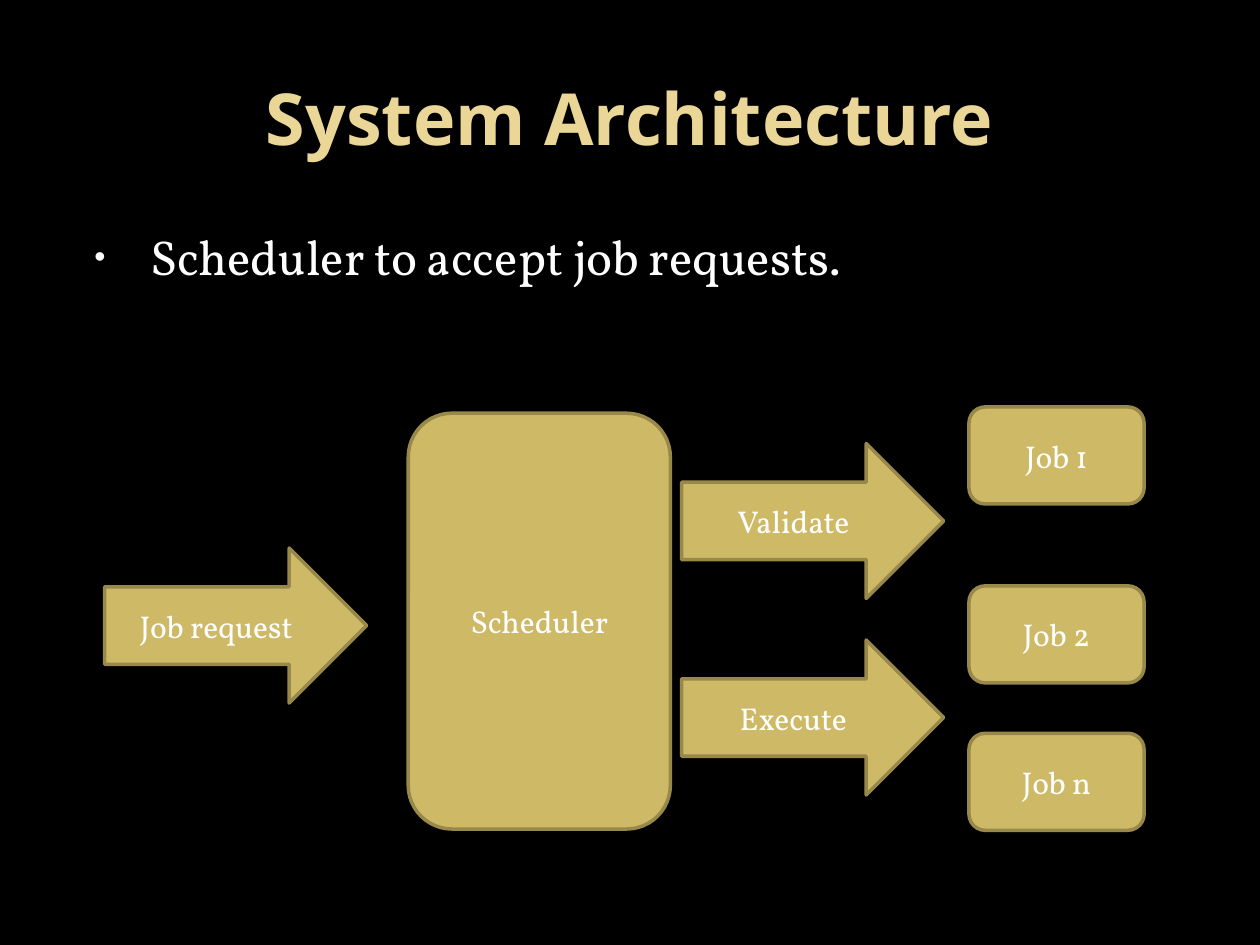
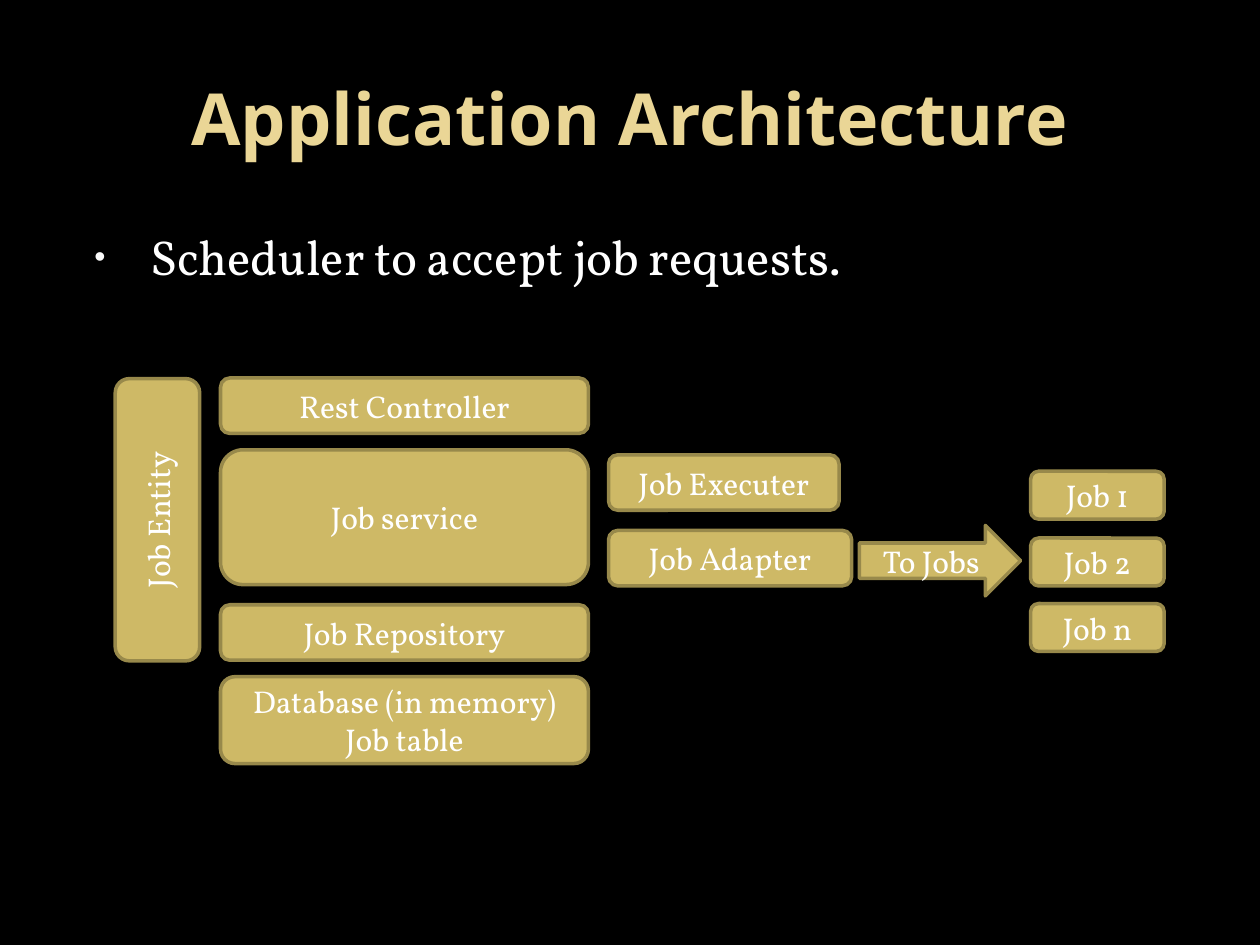
from dataclasses import dataclass
from typing import Any

from lxml.etree import SubElement
from pptx import Presentation
from pptx.dml.color import RGBColor
from pptx.enum.shapes import MSO_AUTO_SHAPE_TYPE as ShapeType
from pptx.enum.text import MSO_VERTICAL_ANCHOR as Anchor, PP_PARAGRAPH_ALIGNMENT as Align
from pptx.oxml.ns import qn
from pptx.slide import Slide
from pptx.text.text import TextFrame
from pptx.util import Inches, Pt

BLACK = RGBColor(0x00, 0x00, 0x00)
WHITE = RGBColor(0xFF, 0xFF, 0xFF)
BULLET_COLOR = RGBColor(0xF9, 0xF9, 0xF9)
CREAM = RGBColor(0xEA, 0xD6, 0x96)
GOLD = RGBColor(0xCE, 0xB9, 0x66)
BRONZE = RGBColor(0x98, 0x89, 0x4B)

TITLE_FONT = {"name": "Noto Sans", "size": Pt(41), "bold": True}
BODY_FONT = {"name": "Vollkorn", "size": Pt(28)}
LABEL_FONT = {"name": "Vollkorn", "size": Pt(18)}
BULLET_TEXT = "Scheduler to accept job requests."


@dataclass(frozen=True)
class Block:
    label: str
    left: float
    top: float
    width: float
    height: float
    kind: ShapeType = ShapeType.ROUNDED_RECTANGLE
    rotation: float = 0


@dataclass(frozen=True)
class Diagram:
    title: str
    blocks: list[Block]


def arrow(label: str, left: float, top: float, width: float = 2.08, height: float = 1.23) -> Block:
    return Block(label, left, top, width, height, ShapeType.RIGHT_ARROW)


def jobs(left: float, tops: list[float], width: float, height: float) -> list[Block]:
    return [Block(label, left, top, width, height)
            for label, top in zip(("Job 1", "Job 2", "Job n"), tops)]


def layer(label: str, top: float, height: float = 0.44) -> Block:
    return Block(label, 1.75, top, 2.92, height)


DIAGRAMS = [
    Diagram("System Architecture", [
        *jobs(7.69, [3.23, 4.65, 5.82], 1.39, 0.77),
        Block("Scheduler", 3.24, 3.28, 2.08, 3.3),
        arrow("Job request", 0.83, 4.35),
        arrow("Execute", 5.41, 5.08),
        arrow("Validate", 5.41, 3.52),
    ]),
    Diagram("Application Architecture", [
        *jobs(8.18, [3.74, 4.27, 4.79], 1.06, 0.38),
        Block("Job Adapter", 4.83, 4.21, 1.93, 0.44),
        arrow("To Jobs", 6.82, 4.17, 1.28, 0.56),
        Block("Job Entity", 0.13, 3.79, 2.24, 0.67, rotation=270),
        layer("Job Repository", 4.8),
        layer("Rest Controller", 3),
        layer("Job service", 3.57, 1.07),
        layer("Database (in memory)\nJob table", 5.37, 0.69),
        Block("Job Executer", 4.83, 3.61, 1.83, 0.44),
    ]),
]


def write(frame: TextFrame, text: str, font: dict[str, Any], color: RGBColor,
          align: Align = Align.CENTER, anchor: Anchor = Anchor.MIDDLE) -> None:
    frame.text = text
    frame.word_wrap = True
    frame.vertical_anchor = anchor
    for para in frame.paragraphs:
        para.alignment = align
        for span in para.runs:
            for name, value in font.items():
                setattr(span.font, name, value)
            span.font.color.rgb = color


def draw_title(page: Slide, title: str) -> None:
    box = page.shapes.add_textbox(Inches(0.5), Inches(0.3), Inches(9), Inches(1.25))
    write(box.text_frame, title, TITLE_FONT, CREAM)


def draw_bullet(page: Slide, text: str) -> None:
    box = page.shapes.add_textbox(Inches(0.5), Inches(1.75), Inches(9), Inches(5.15))
    write(box.text_frame, text, BODY_FONT, WHITE, Align.LEFT, Anchor.TOP)
    para = box.text_frame.paragraphs[0]
    para.space_before = Pt(5.6)
    properties = para._p.get_or_add_pPr()
    properties.set("marL", str(Inches(0.6)))
    properties.set("indent", str(Inches(-0.45)))
    bullet_color = SubElement(properties, qn("a:buClr"))
    SubElement(bullet_color, qn("a:srgbClr"), val=str(BULLET_COLOR))
    SubElement(properties, qn("a:buSzPct"), val="65000")
    SubElement(properties, qn("a:buFont"), typeface="Arial")
    SubElement(properties, qn("a:buChar"), char="•")


def draw_block(page: Slide, block: Block) -> None:
    shape = page.shapes.add_shape(block.kind, Inches(block.left), Inches(block.top),
                                  Inches(block.width), Inches(block.height))
    shape.rotation = block.rotation
    shape.shadow.inherit = False
    shape.fill.solid()
    shape.fill.fore_color.rgb = GOLD
    shape.line.color.rgb = BRONZE
    shape.line.width = Pt(2)
    write(shape.text_frame, block.label, LABEL_FONT, WHITE)


def main() -> None:
    deck = Presentation()
    deck.slide_width = Inches(10)
    deck.slide_height = Inches(7.5)
    for diagram in DIAGRAMS:
        page = deck.slides.add_slide(deck.slide_layouts[6])
        page.background.fill.solid()
        page.background.fill.fore_color.rgb = BLACK
        draw_title(page, diagram.title)
        for block in diagram.blocks:
            draw_block(page, block)
        draw_bullet(page, BULLET_TEXT)
    deck.save("out.pptx")


if __name__ == "__main__":
    main()
